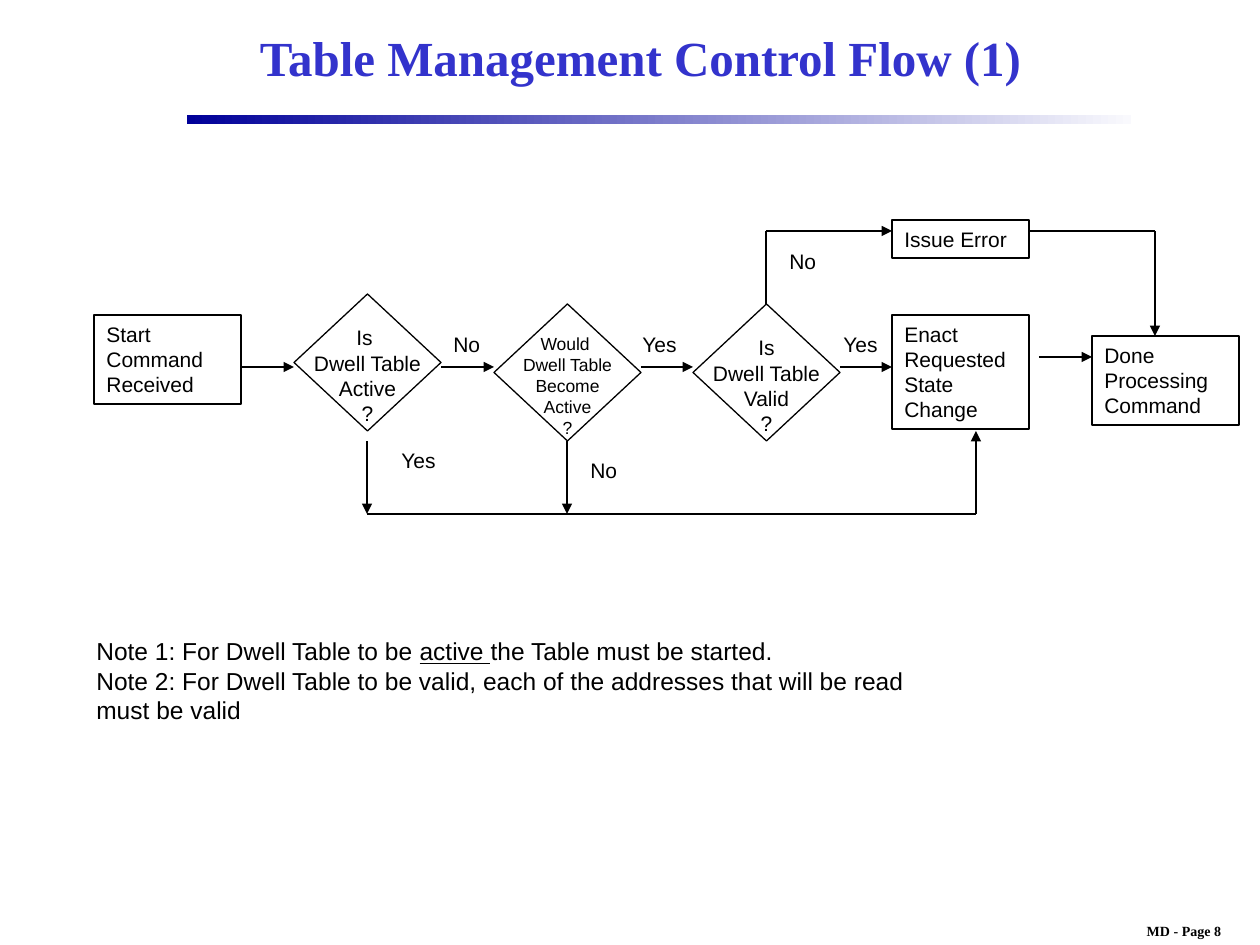
from lxml import etree
from pptx import Presentation
from pptx.dml.color import RGBColor
from pptx.enum.shapes import MSO_CONNECTOR, MSO_SHAPE
from pptx.enum.text import MSO_ANCHOR, PP_ALIGN
from pptx.oxml.ns import qn
from pptx.util import Emu, Pt

PX = 914400 / 126
BLACK = RGBColor(0x00, 0x00, 0x00)
WHITE = RGBColor(0xFF, 0xFF, 0xFF)
TITLE_BLUE = RGBColor(0x33, 0x33, 0xCC)
RULE_BLUE = RGBColor(0x00, 0x00, 0x99)
RULE_PALE = RGBColor(0xF9, 0xF9, 0xFD)
RECTANGLE, DIAMOND = MSO_SHAPE.RECTANGLE, MSO_SHAPE.DIAMOND
STRAIGHT = MSO_CONNECTOR.STRAIGHT
LEFT, CENTER = PP_ALIGN.LEFT, PP_ALIGN.CENTER
TOP, MIDDLE = MSO_ANCHOR.TOP, MSO_ANCHOR.MIDDLE
SANS, SERIF = "Arial", "Times New Roman"


def px(length):
    """Turn a length in px into EMU."""
    return Emu(round(length * PX))


def place(box, left, top, width, height):
    """Return the EMU rectangle of a part inside a region box."""
    return [px(n) for n in (box[0] + left, box[1] + top, width, height)]


def style(paragraph, size, name=SANS, color=BLACK, bold=False, align=LEFT):
    """Set the font and alignment of a paragraph."""
    paragraph.alignment = align
    font = paragraph.font
    font.size, font.name, font.bold = Pt(size), name, bold
    font.color.rgb = color


def write(frame, lines, size, wrap=True, anchor=TOP, **look):
    """Fill a text frame with one paragraph for each line."""
    frame.word_wrap = wrap
    frame.vertical_anchor = anchor
    frame.text = "\n".join(lines)
    for paragraph in frame.paragraphs:
        style(paragraph, size, **look)


def add_text(slide, rect, lines, size, **look):
    """Add a text box."""
    frame = slide.shapes.add_textbox(*rect).text_frame
    write(frame, lines, size, **look)
    return frame


def add_node(slide, kind, rect):
    """Add an outlined flowchart node and return it."""
    node = slide.shapes.add_shape(kind, *rect)
    node.shadow.inherit = False
    node.fill.background()
    node.line.color.rgb = BLACK
    node.line.width = Pt(0.75)
    return node


def add_step(slide, rect, label):
    """Add a process step."""
    step = add_node(slide, RECTANGLE, rect)
    write(step.text_frame, [label], 12)


def add_decision(slide, rect, lines, size):
    """Add a decision with its question set below the middle."""
    decision = add_node(slide, DIAMOND, rect)
    decision.fill.solid()
    decision.fill.fore_color.rgb = WHITE
    decision.text_frame.margin_top = px(32)
    write(decision.text_frame, lines, size, wrap=False, anchor=MIDDLE, align=CENTER)


def add_route(slide, box, points, arrow=True):
    """Join points with straight lines, the last one with an arrowhead."""
    corners = [(px(box[0] + x), px(box[1] + y)) for x, y in points]
    for start, end in zip(corners, corners[1:]):
        segment = slide.shapes.add_connector(STRAIGHT, *start, *end)
        segment.line.color.rgb = BLACK
        segment.line.width = Pt(0.75)
        etree.SubElement(segment._element.spPr, qn("a:effectLst"))
    if arrow:
        line = segment.line._get_or_add_ln()
        etree.SubElement(line, qn("a:tailEnd"), type="triangle")


def add_header(slide, box):
    """Place the title and the fading rule under it."""
    add_text(slide, place(box, 2, 0, 903, 94), ["Table Management Control Flow (1)"], 28,
             anchor=MIDDLE, name=SERIF, color=TITLE_BLUE, bold=True, align=CENTER)
    rule = slide.shapes.add_shape(RECTANGLE, *place(box, 0, 105, 944, 9))
    rule.shadow.inherit = False
    rule.line.fill.background()
    rule.fill.gradient()
    rule.fill.gradient_angle = 0
    for stop, color in zip(rule.fill.gradient_stops, (RULE_BLUE, RULE_PALE)):
        stop.color.rgb = color


def add_flow(slide, box):
    """Place the steps, decisions, routes and answers of the flowchart."""
    steps = [
        ("Start Command Received", 0, 95, 147, 89),
        ("Enact Requested State Change", 798, 95, 137, 114),
        ("Issue Error", 798, 0, 137, 38),
        ("Done Processing Command", 998, 116, 147, 89),
    ]
    decisions = [
        (["Is ", "Dwell Table", "Active", "?"], 200, 74, 12),
        (["Would ", "Dwell Table", "Become", "Active", "?"], 400, 84, 10),
        (["Is", "Dwell Table", "Valid", "?"], 599, 84, 12),
    ]
    routes = [
        [(147, 147), (200, 147)],
        [(347, 147), (400, 147)],
        [(547, 147), (599, 147)],
        [(746, 147), (798, 147)],
        [(945, 137), (998, 137)],
        [(273, 221), (273, 294)],
        [(473, 221), (473, 294)],
        [(273, 294), (882, 294), (882, 211)],
        [(672, 84), (672, 11), (798, 11)],
        [(935, 11), (1061, 11), (1061, 116)],
    ]
    answers = [
        ("No", 347, 105), ("Yes", 536, 105), ("Yes", 737, 105),
        ("Yes", 295, 221), ("No", 484, 231), ("No", 683, 22),
    ]
    for label, *rect in steps:
        add_step(slide, place(box, *rect), label)
    for lines, left, top, size in decisions:
        add_decision(slide, place(box, left, top, 147, 137), lines, size)
    for points in routes:
        add_route(slide, box, points)
    for answer, left, top in answers:
        width = 60 if answer == "Yes" else 52
        add_text(slide, place(box, left, top, width, 38), [answer], 12, wrap=False)


def add_notes(slide, box):
    """Place the two notes, with the key word underlined."""
    frame = add_text(slide, place(box, 0, 0, 892, 101), [
        "Note 1: For Dwell Table to be ",
        "Note 2: For Dwell Table to be valid, each of the addresses "
        "that will be read must be valid",
    ], 14)
    first_note = frame.paragraphs[0]
    key_word = first_note.add_run()
    key_word.text = "active "
    key_word.font.underline = True
    first_note.add_run().text = "the Table must be started."


def add_footer(slide, box):
    """Place the page mark."""
    add_text(slide, place(box, 0, 0, 156, 29), ["MD - Page 8"], 8,
             wrap=False, name=SERIF, bold=True, align=CENTER)


def main():
    """Build the slide and save it."""
    deck = Presentation()
    deck.slide_width, deck.slide_height = px(1260), px(945)
    slide = deck.slides.add_slide(deck.slide_layouts[6])
    add_header(slide, (187, 10))
    add_flow(slide, (94, 220))
    add_notes(slide, (84, 630))
    add_footer(slide, (1106, 916))
    deck.save("out.pptx")


if __name__ == "__main__":
    main()
